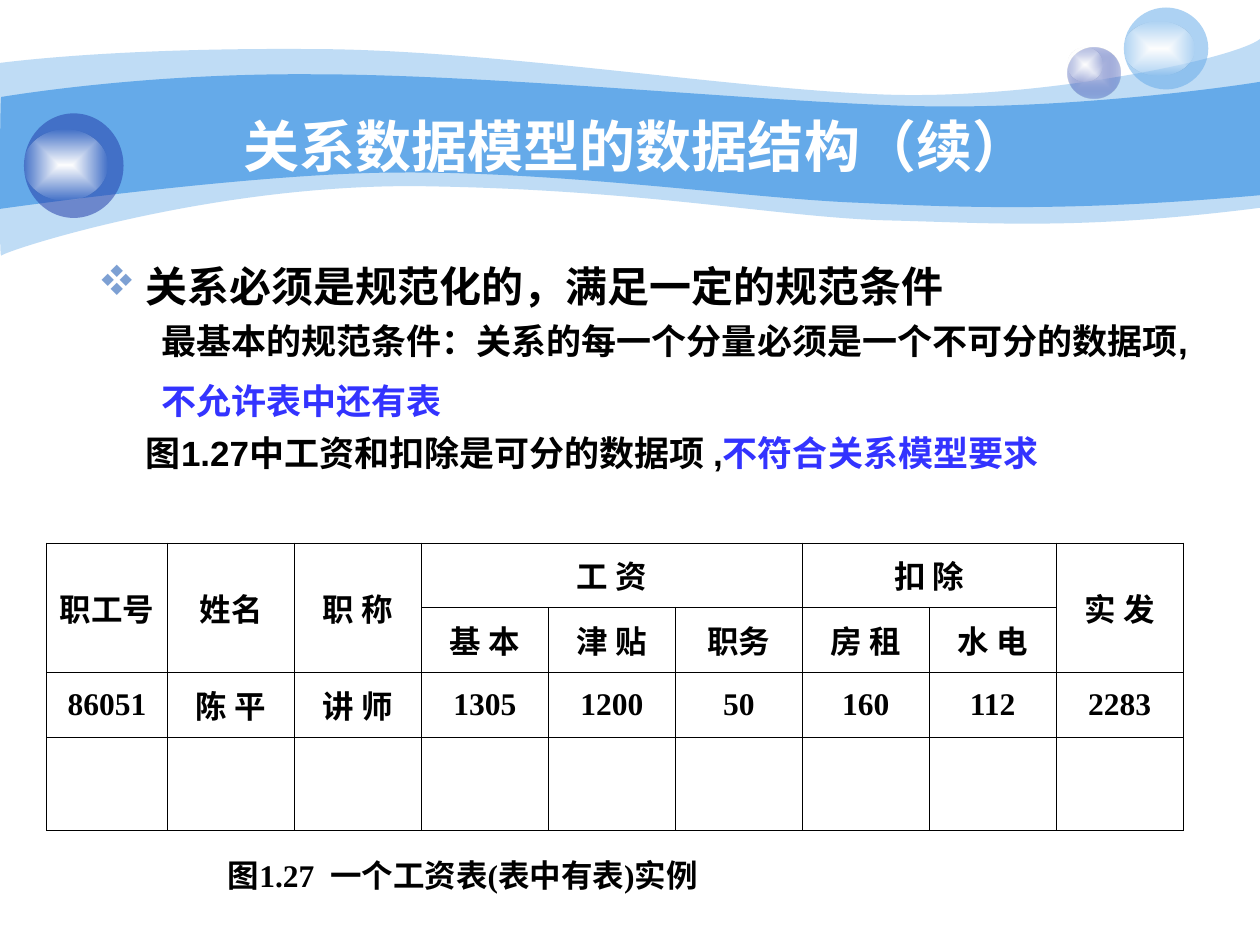
from lxml import etree
from pptx import Presentation
from pptx.dml.color import RGBColor
from pptx.enum.shapes import MSO_SHAPE
from pptx.enum.text import MSO_ANCHOR, PP_ALIGN
from pptx.oxml import parse_xml
from pptx.oxml.ns import qn
from pptx.util import Inches, Pt

NS = 'xmlns:a="http://schemas.openxmlformats.org/drawingml/2006/main"'
OVAL = MSO_SHAPE.OVAL
MIDDLE = MSO_ANCHOR.MIDDLE
LEFT, CENTER, JUSTIFY = PP_ALIGN.LEFT, PP_ALIGN.CENTER, PP_ALIGN.JUSTIFY
SKY = RGBColor(0x65, 0xAA, 0xE9)
NAVY = RGBColor(0x23, 0x3D, 0xA9)
PALE = RGBColor(0xC7, 0xCE, 0xE9)
WHITE = RGBColor(0xFF, 0xFF, 0xFF)
BLACK = RGBColor(0, 0, 0)
BLUE = RGBColor(0x33, 0x33, 0xFF)
BULLET = RGBColor(0x7D, 0xA0, 0xD3)
SANS, SERIF = "Arial", "Times New Roman"

# Content
TITLE = "关系数据模型的数据结构（续）"
CAPTION = "图1.27  一个工资表(表中有表)实例"
# runs (text, size, colour), space before, left margin, first-line indent, has bullet
BODY = [
    ([("关系必须是规范化的，满足一定的规范条件 ", 24, BLACK)], 0, 0.38, -0.38, True),
    ([("最基本的规范条件：关系的每一个分量必须是一个不可分的数据项, ", 20, BLACK)],
     5, 0.81, -0.31, False),
    ([("不允许表中还有表", 20, BLUE), (" ", 24, BLACK)], 6, 0.81, -0.31, False),
    ([("图1.27中工资和扣除是可分的数据项 ,", 20, BLACK), ("不符合关系模型要求 ", 20, BLUE)],
     5, 0.38, 0, False),
]
ROWS = [
    ["职工号", "姓名", "职 称", "工 资", "", "", "扣 除", "", "实 发"],
    ["", "", "", "基 本", "津 贴", "职务", "房 租", "水 电", ""],
    ["86051", "陈 平", "讲 师", "1305", "1200", "50", "160", "112", "2283"],
    [""] * 9,
]
MERGES = [(0, 0, 1, 0), (0, 1, 1, 1), (0, 2, 1, 2), (0, 3, 0, 5), (0, 6, 0, 7), (0, 8, 1, 8)]
TABLE_WIDTH, FIRST_COL = 9.02, 0.96
COL_WIDTHS = [FIRST_COL] + [(TABLE_WIDTH - FIRST_COL) / 8] * 8
ROW_HEIGHTS = [0.51, 0.52, 0.51, 0.74]

# Waves: opacity, start point, then curves (three points) and straight edges (one point)
WAVES = [
    (41, (0, 0.5), [
        [(0.24, 0.47), (1.07, 0.38), (2.47, 0.39)], [(3.86, 0.39), (5.75, 0.7), (6.99, 0.75)],
        [(8.22, 0.8), (9.8, 0.47), (10, 0.31)], [(10, 1.65)],
        [(8.58, 1.83), (7.87, 1.77), (7.05, 1.75)], [(6.22, 1.73), (5.15, 1.51), (3.43, 1.48)],
        [(1.72, 1.44), (0.04, 1.99), (0.01, 2.03)], [(-0.01, 2.08), (0, 0.75), (0, 0.5)]]),
    (100, (0.01, 0.77), [
        [(0.02, 0.77), (1.1, 0.58), (2.48, 0.59)], [(3.86, 0.59), (5.95, 0.8), (7.18, 0.84)],
        [(8.41, 0.88), (9.76, 0.69), (10, 0.65)], [(10, 1.55)],
        [(8.53, 1.68), (7.65, 1.65), (6.82, 1.61)], [(5.99, 1.58), (4.47, 1.36), (3.17, 1.37)],
        [(2.03, 1.37), (-0.02, 1.66), (-0.01, 1.66)], [(0, 1.66), (0, 0.77), (0.01, 0.77)]]),
]
# Balls: box, inner colour, outer colour, outer opacity; each followed by its gloss
BALLS = [
    ((8.47, 0.38, 0.42, 0.4), PALE, NAVY, 31), ((8.47, 0.38, 0.28, 0.27), WHITE, WHITE, 0),
    ((8.92, 0.06, 0.67, 0.65), None, SKY, 53), ((8.92, 0.17, 0.56, 0.43), WHITE, WHITE, 0),
    ((0.19, 0.9, 0.79, 0.83), None, NAVY, 53), ((0.19, 1.03, 0.66, 0.56), WHITE, WHITE, 0),
]


def add_wave(slide, start, segments):
    builder = slide.shapes.build_freeform(*map(Inches, start))
    builder.add_line_segments([tuple(map(Inches, pt)) for seg in segments for pt in seg], close=True)
    sp = builder.convert_to_shape()
    # Join each run of three points into one Bezier curve
    lines = iter(list(sp._element.iter(qn("a:lnTo"))))
    for seg in segments:
        group = [next(lines) for _ in seg]
        if len(group) == 3:
            curve = etree.Element(qn("a:cubicBezTo"))
            group[0].addprevious(curve)
            for line in group:
                curve.append(line[0])
                line.getparent().remove(line)
    return sp


def paint(sp, color, opacity):
    sp.shadow.inherit = False
    sp.line.fill.background()
    sp.fill.solid()
    sp.fill.fore_color.rgb = color
    if opacity < 100:
        clr = sp.fill._xPr.find(qn("a:solidFill"))[0]
        etree.SubElement(clr, qn("a:alpha")).set("val", str(opacity * 1000))


def paint_glow(sp, inner, outer, opacity):
    paint(sp, outer, 100)
    solid = sp.fill._xPr.find(qn("a:solidFill"))
    solid.getparent().replace(solid, parse_xml(
        f'<a:gradFill {NS} rotWithShape="1"><a:gsLst>'
        f'<a:gs pos="0"><a:srgbClr val="{inner}"/></a:gs>'
        f'<a:gs pos="100000"><a:srgbClr val="{outer}"><a:alpha val="{opacity * 1000}"/></a:srgbClr></a:gs>'
        '</a:gsLst><a:path path="rect"><a:fillToRect l="50000" t="50000" r="50000" b="50000"/></a:path>'
        '</a:gradFill>'))


def style(font, name, size, color):
    font.name, font.size, font.bold = name, Pt(size), True
    font.color.rgb = color


def indent(p, margin, first):
    pPr = p._p.get_or_add_pPr()
    pPr.set("marL", str(Inches(margin)))
    pPr.set("indent", str(Inches(first)))
    return pPr


def add_box(slide, box, anchor=None):
    tf = slide.shapes.add_textbox(*map(Inches, box)).text_frame
    tf.word_wrap = True
    tf.vertical_anchor = anchor
    return tf


def add_line(tf, text, align, name, size, color):
    p = tf.paragraphs[0]
    p.text, p.alignment = text, align
    for r in p.runs:
        style(r.font, name, size, color)
    return p


def add_body(slide):
    tf = add_box(slide, (0.68, 2.02, 8.98, 1.89))
    for i, (runs, before, margin, first, has_bullet) in enumerate(BODY):
        p = tf.add_paragraph() if i else tf.paragraphs[0]
        p.alignment = JUSTIFY
        p.space_before = Pt(before)
        pPr = indent(p, margin, first)
        if has_bullet:
            # "v" is the four-diamond sign in Wingdings
            pPr.append(parse_xml(f'<a:buClr {NS}><a:srgbClr val="{BULLET}"/></a:buClr>'))
            pPr.append(parse_xml(f'<a:buFont {NS} typeface="Wingdings" charset="2"/>'))
            pPr.append(parse_xml(f'<a:buChar {NS} char="v"/>'))
        for text, size, color in runs:
            r = p.add_run()
            r.text = text
            style(r.font, SANS, size, color)


def add_salary_table(slide):
    frame = slide.shapes.add_table(len(ROWS), len(COL_WIDTHS), Inches(0.37), Inches(4.31),
                                   Inches(TABLE_WIDTH), Inches(sum(ROW_HEIGHTS)))
    table = frame.table
    table.first_row = table.horz_banding = False
    for col, width in zip(table.columns, COL_WIDTHS):
        col.width = Inches(width)
    for row, height in zip(table.rows, ROW_HEIGHTS):
        row.height = Inches(height)
    for r, texts in enumerate(ROWS):
        for c, text in enumerate(texts):
            cell = table.cell(r, c)
            if text:
                add_line(cell.text_frame, text, CENTER, SERIF, 18, BLACK)
            cell.vertical_anchor = MIDDLE
            tcPr = cell._tc.get_or_add_tcPr()
            for side in "LRTB":
                tcPr.append(parse_xml(f'<a:ln{side} {NS} w="{Pt(0.45)}"><a:solidFill>'
                                      f'<a:srgbClr val="{BLACK}"/></a:solidFill></a:ln{side}>'))
            cell.fill.background()
    for top, left, bottom, right in MERGES:
        table.cell(top, left).merge(table.cell(bottom, right))


def main():
    prs = Presentation()
    prs.slide_width, prs.slide_height = Inches(10), Inches(7.5)
    slide = prs.slides.add_slide(prs.slide_layouts[6])

    # Banner waves and glass balls
    for opacity, start, segments in WAVES:
        paint(add_wave(slide, start, segments), SKY, opacity)
    for box, inner, outer, opacity in BALLS:
        sp = slide.shapes.add_shape(OVAL, *map(Inches, box))
        if inner is None:
            paint(sp, outer, opacity)
        else:
            paint_glow(sp, inner, outer, opacity)

    # Title, body, table and caption
    add_line(add_box(slide, (1.01, 0.84, 8.08, 0.62), MIDDLE), TITLE, CENTER, SANS, 32, WHITE)
    add_body(slide)
    add_salary_table(slide)
    caption = add_box(slide, (1.71, 6.59, 4.09, 0.7), MIDDLE)
    indent(add_line(caption, CAPTION, LEFT, SERIF, 18, BLACK), 0.38, -0.38)

    prs.save("out.pptx")


if __name__ == "__main__":
    main()
